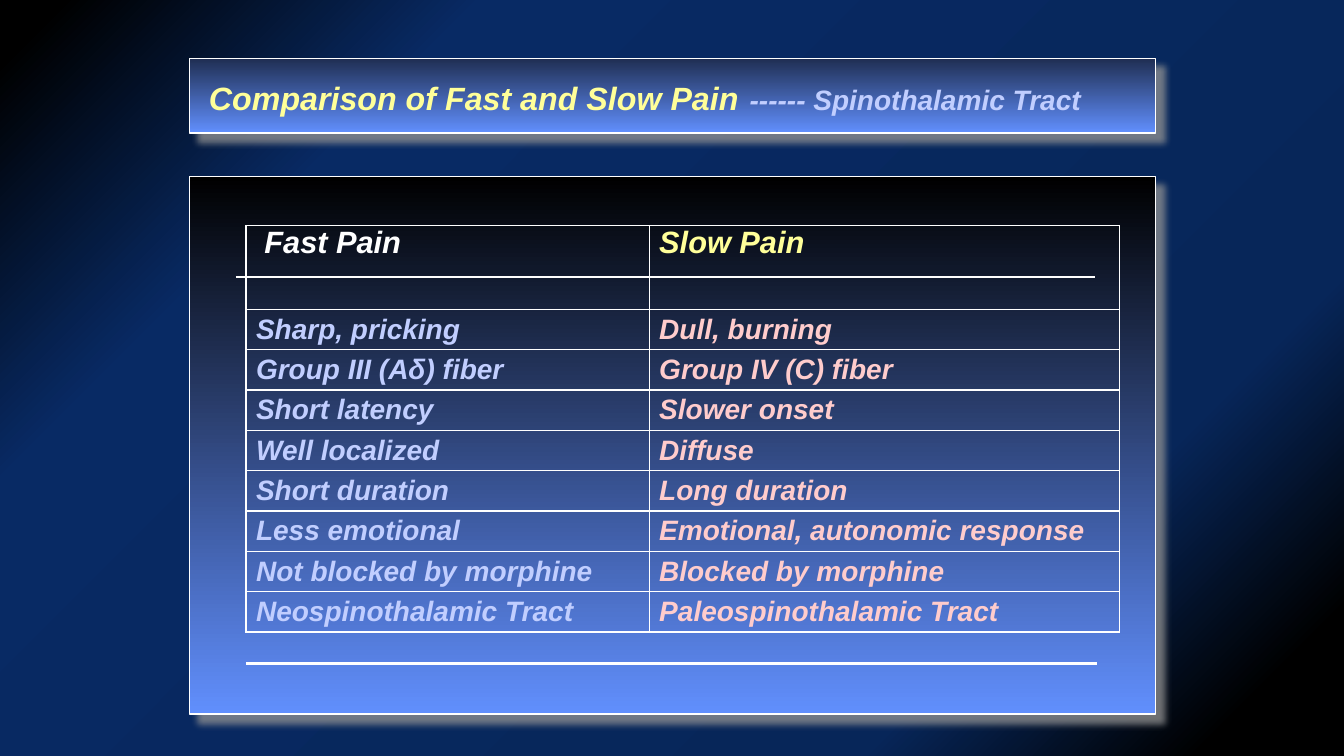
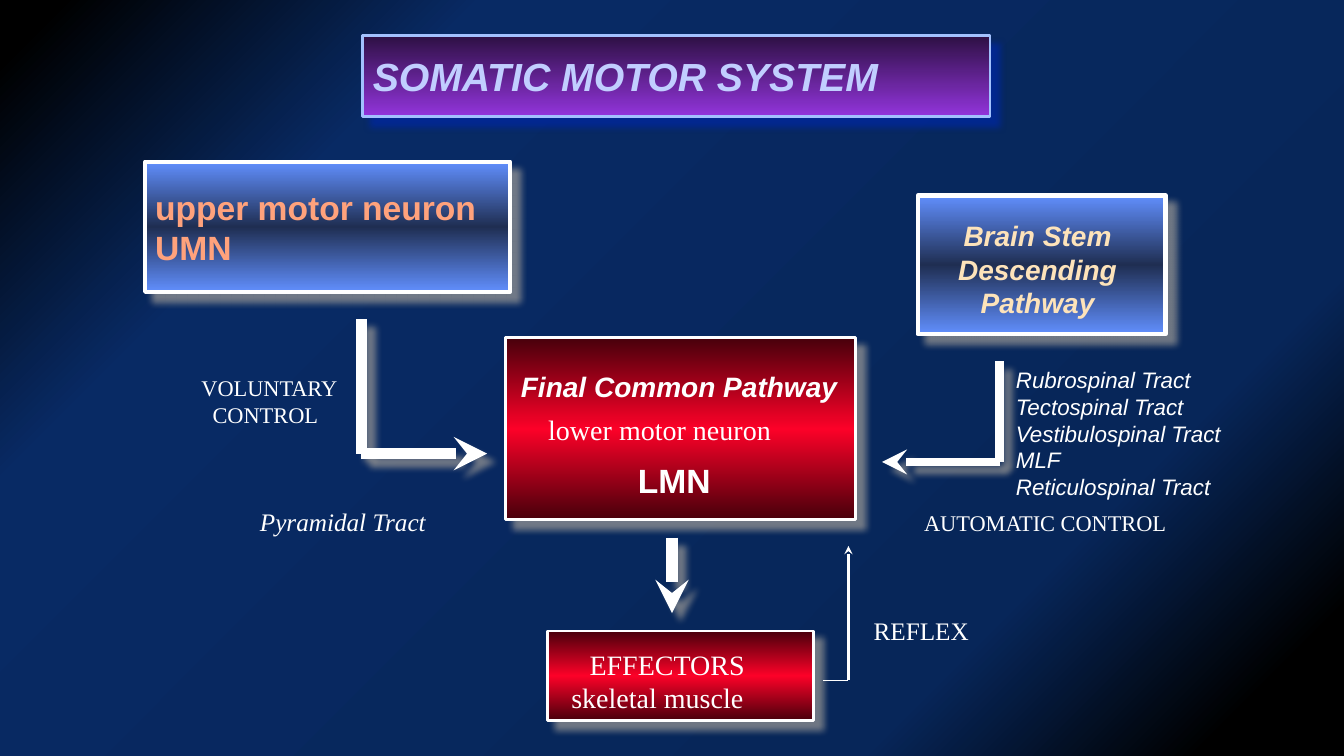
from collections import namedtuple

from lxml import etree
from pptx import Presentation
from pptx.dml.color import RGBColor
from pptx.enum.shapes import MSO_CONNECTOR, MSO_SHAPE
from pptx.enum.text import MSO_ANCHOR, PP_ALIGN
from pptx.oxml.ns import qn
from pptx.util import Pt

RECTANGLE = MSO_SHAPE.RECTANGLE
STRAIGHT = MSO_CONNECTOR.STRAIGHT
TOP, MIDDLE = MSO_ANCHOR.TOP, MSO_ANCHOR.MIDDLE
LEFT, CENTER = PP_ALIGN.LEFT, PP_ALIGN.CENTER

SANS, SERIF = "Arial", "Times New Roman"
WHITE, YELLOW, LAVENDER, PINK = "FFFFFF", "FFFF99", "C1CEFF", "FFCCCC"
GRAY_SHADOW, BLUE_SHADOW = "949494", "00279F"
NIGHT = [(7, "000000", 100), (23, "072659", 76), (77, "082A64", 100), (97, "000000", 100)]
BLUE, DARK_BLUE, DARK_RED = "618FFD", "1F2E52", "48000B"
PANEL_FILL = ["000000", BLUE]
HEADING_FILL = [DARK_BLUE, BLUE]
SOURCE_FILL = [BLUE, DARK_BLUE, BLUE]
TARGET_FILL = [DARK_RED, "FC0128", DARK_RED]
SYSTEM_FILL = ["2D1043", "9234DB"]

Style = namedtuple("Style", "font size color bold italic", defaults=(WHITE, False, False))
Line = namedtuple("Line", "text style indent before", defaults=(0, 0))

PAIN_TYPES = ("Fast Pain", "Slow Pain")
PAIN_TRAITS = [
    ("Sharp, pricking", "Dull, burning"),
    ("Group III (Aδ) fiber", "Group IV (C) fiber"),
    ("Short latency", "Slower onset"),
    ("Well localized", "Diffuse"),
    ("Short duration", "Long duration"),
    ("Less emotional", "Emotional, autonomic response"),
    ("Not blocked by morphine", "Blocked by morphine"),
    ("Neospinothalamic Tract", "Paleospinothalamic Tract"),
]
TRACTS = ["Rubrospinal Tract", "Tectospinal Tract", "Vestibulospinal Tract",
          "MLF", "Reticulospinal Tract"]


def rgb(color):
    return RGBColor.from_string(color)


def child(parent, tag, **attributes):
    return etree.SubElement(parent, qn(tag), {k: str(v) for k, v in attributes.items()})


def add_color(parent, color, opacity):
    node = child(parent, "a:srgbClr", val=color)
    if opacity < 100:
        child(node, "a:alpha", val=opacity * 1000)


def gradient(stops):
    fill = etree.Element(qn("a:gradFill"), {"rotWithShape": "1"})
    stop_list = child(fill, "a:gsLst")
    for position, color, opacity in stops:
        add_color(child(stop_list, "a:gs", pos=position * 1000), color, opacity)
    return fill


def paint_background(master):
    master.background.fill.solid()
    properties = master._element.find(".//" + qn("p:bgPr"))
    fill = gradient(NIGHT)
    center = child(fill, "a:path", path="circle")
    child(center, "a:fillToRect", l=100000, t=100000)
    properties.replace(properties[0], fill)


def set_effects(shape, shadow):
    effects = child(shape._element.spPr, "a:effectLst")
    if shadow:
        node = child(effects, "a:outerShdw", blurRad=Pt(5), dist=Pt(8.5),
                     dir=45 * 60000, algn="ctr", rotWithShape=0)
        add_color(node, shadow, 75)


def set_font(font, style):
    font.name, font.size = style.font, Pt(style.size)
    font.bold, font.italic = style.bold, style.italic
    font.color.rgb = rgb(style.color)


def set_indent(paragraph, indent):
    if indent:
        paragraph._p.get_or_add_pPr().set("marL", str(Pt(indent)))


def write(frame, lines, align=LEFT):
    frame.word_wrap = True
    for number, line in enumerate(lines):
        paragraph = frame.add_paragraph() if number else frame.paragraphs[0]
        paragraph.text = line.text
        paragraph.alignment = align
        set_indent(paragraph, line.indent)
        if line.before:
            paragraph.space_before = Pt(line.before)
        set_font(paragraph.font, line.style)


def add_box(slide, left, top, width, height, colors, line_width,
            line_color=WHITE, shadow=GRAY_SHADOW):
    box = slide.shapes.add_shape(RECTANGLE, Pt(left), Pt(top), Pt(width), Pt(height))
    last = len(colors) - 1
    fill = gradient([(100 * i // last, color, 100) for i, color in enumerate(colors)])
    child(fill, "a:lin", ang=90 * 60000, scaled=0)
    box._element.spPr.find(qn("a:prstGeom")).addnext(fill)
    box.line.width = Pt(line_width)
    box.line.color.rgb = rgb(line_color)
    set_effects(box, shadow)
    return box


def fill_box(box, lines, top=None, right=7.2, align=LEFT):
    frame = box.text_frame
    frame.vertical_anchor = MIDDLE if top is None else TOP
    if top is not None:
        frame.margin_top = Pt(top)
    frame.margin_right = Pt(right)
    write(frame, lines, align)


def add_label(slide, left, top, width, height, lines):
    label = slide.shapes.add_textbox(Pt(left), Pt(top), Pt(width), Pt(height))
    write(label.text_frame, lines)


def add_line(slide, start, end, width, arrow=False, shadow=None):
    line = slide.shapes.add_connector(STRAIGHT, *(Pt(v) for v in start + end))
    line.line.width = Pt(width)
    line.line.color.rgb = rgb(WHITE)
    if arrow:
        child(line.line._get_or_add_ln(), "a:tailEnd", type="stealth")
    set_effects(line, shadow)


def add_bent_arrow(slide, points, widths, shadow=None):
    legs = list(zip(points, points[1:], widths))
    for number, (start, end, width) in enumerate(legs, 1):
        add_line(slide, start, end, width, number == len(legs), shadow)


def add_comparison(slide, left, top):
    header_height, row_height, columns = 60, 28.8, (288, 336)
    rows = [PAIN_TYPES] + PAIN_TRAITS
    frame = slide.shapes.add_table(
        len(rows), len(columns), Pt(left), Pt(top), Pt(sum(columns)),
        Pt(header_height + row_height * len(PAIN_TRAITS)))
    table = frame.table
    table.first_row = table.horz_banding = False
    for column, width in zip(table.columns, columns):
        column.width = Pt(width)
    for r, texts in enumerate(rows):
        table.rows[r].height = Pt(row_height if r else header_height)
        size = 20 if r else 22
        colors = (LAVENDER, PINK) if r else (WHITE, YELLOW)
        for c, (text, color) in enumerate(zip(texts, colors)):
            cell = table.cell(r, c)
            cell.fill.background()
            cell.margin_top = cell.margin_bottom = 0
            cell.vertical_anchor = MIDDLE if r else TOP
            indent = 6 if (r, c) == (0, 0) else 0
            write(cell.text_frame, [Line(text, Style(SANS, size, color, True, True), indent)])


def build_pain_comparison(slide):
    left, width = 135.2, 690
    add_box(slide, left, 126, width, 384, PANEL_FILL, 1)
    heading = add_box(slide, left, 41.6, width, 53.4, HEADING_FILL, 1)
    frame = heading.text_frame
    frame.word_wrap = True
    frame.vertical_anchor = MIDDLE
    paragraph = frame.paragraphs[0]
    paragraph.alignment = LEFT
    set_indent(paragraph, 7)
    for text, size, color in [("Comparison of Fast and Slow Pain", 23, YELLOW),
                              (" ", 26, LAVENDER),
                              ("------ Spinothalamic Tract", 20, LAVENDER)]:
        run = paragraph.add_run()
        run.text = text
        set_font(run.font, Style(SANS, size, color, True, True))
    add_comparison(slide, 175.7, 161)
    add_line(slide, (168.5, 198), (782, 198), 1.75)
    add_line(slide, (175.7, 474), (783.4, 474), 1.75)


def build_motor_system(slide):
    umn = Style(SANS, 24, "FFA27C", True)
    brain_stem = Style(SANS, 20, "FDE3BA", True, True)
    serif_16, serif_18, serif_20 = (Style(SERIF, size) for size in (16, 18, 20))

    system = add_box(slide, 259.2, 25.2, 448, 58, SYSTEM_FILL, 2, "A2C1FE", BLUE_SHADOW)
    fill_box(system, [Line("SOMATIC MOTOR SYSTEM", Style(SANS, 28, LAVENDER, True, True))])

    upper_neuron = add_box(slide, 103.7, 115.5, 260.6, 93, SOURCE_FILL, 3)
    fill_box(upper_neuron, [Line("upper motor neuron", umn), Line("UMN", umn)])

    descending = add_box(slide, 655.6, 139.7, 177, 99, SOURCE_FILL, 3)
    fill_box(descending,
             [Line(text, brain_stem) for text in ("Brain Stem", "Descending", "Pathway")],
             top=16.5, right=13, align=CENTER)

    final_pathway = add_box(slide, 361, 241.2, 250, 130, TARGET_FILL, 2)
    fill_box(final_pathway, [
        Line("Final Common Pathway", Style(SANS, 20, WHITE, True, True), 4),
        Line("lower motor neuron", serif_20, 23.5, 6.6),
        Line("LMN", Style(SANS, 24, WHITE, True), 87.5, 9.4),
    ], top=23, right=0)

    effectors = add_box(slide, 391, 450.7, 190, 64, TARGET_FILL, 2)
    fill_box(effectors, [Line("EFFECTORS", serif_20, 23),
                         Line("skeletal muscle", serif_20, 10)], top=11.5)

    add_bent_arrow(slide, [(258, 228), (258, 324), (348, 324)], (8, 8), GRAY_SHADOW)
    add_bent_arrow(slide, [(714, 258), (714, 330), (630, 330)], (6, 6), GRAY_SHADOW)
    add_line(slide, (480, 384), (480, 438), 8, True, GRAY_SHADOW)
    add_bent_arrow(slide, [(588, 486), (606, 486), (606, 390)], (1, 2))

    add_label(slide, 136.8, 263.5, 120, 46,
              [Line("VOLUNTARY", serif_16), Line("CONTROL", serif_16, 8)])
    add_label(slide, 178.6, 358, 140, 29,
              [Line("Pyramidal Tract", Style(SERIF, 18, italic=True))])
    add_label(slide, 718.6, 257.8, 180, 104,
              [Line(tract, Style(SANS, 16, italic=True)) for tract in TRACTS])
    add_label(slide, 653, 360, 217, 27, [Line("AUTOMATIC CONTROL", serif_16)])
    add_label(slide, 617, 436.3, 90, 29, [Line("REFLEX", serif_18)])


def main():
    deck = Presentation()
    deck.slide_width, deck.slide_height = Pt(960), Pt(540)
    paint_background(deck.slide_master)
    blank = deck.slide_layouts[6]
    for build in (build_pain_comparison, build_motor_system):
        build(deck.slides.add_slide(blank))
    deck.save("out.pptx")


if __name__ == "__main__":
    main()
